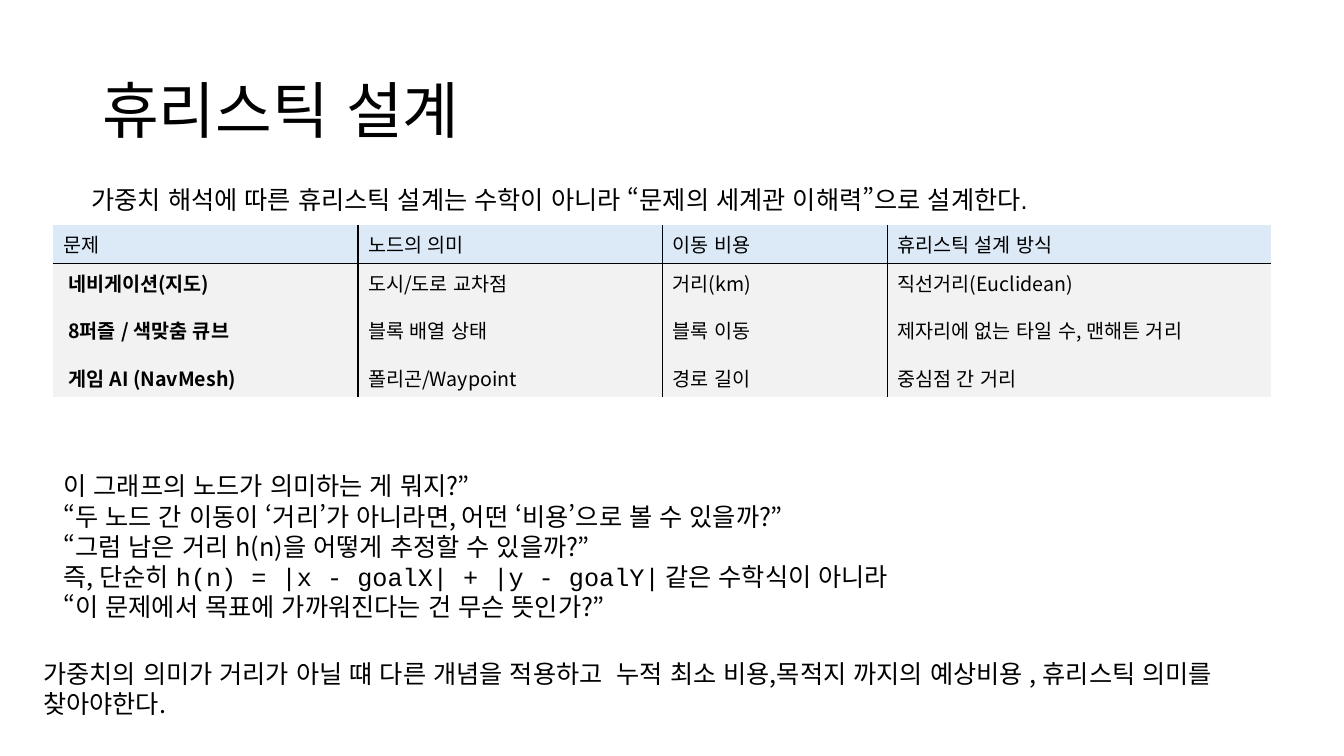
from dataclasses import dataclass

from lxml.etree import SubElement
from pptx import Presentation
from pptx.dml.color import RGBColor
from pptx.enum.lang import MSO_LANGUAGE_ID as Language
from pptx.enum.text import MSO_ANCHOR as Anchor, MSO_AUTO_SIZE as AutoSize
from pptx.oxml.ns import qn
from pptx.util import Pt


@dataclass(frozen=True)
class Theme:
    """Colours, fonts and type sizes of the slide."""
    ink: str = "000000"
    header: str = "DCEAF7"
    body: str = "F2F2F2"
    korean: str = "Noto Sans CJK KR"
    latin: str = "Arial"
    code: str = "Courier New"
    title_size: int = 44
    text_size: int = 18
    cell_size: int = 14
    rule_width: int = 1


THEME = Theme()

INTRO = "가중치 해석에 따른 휴리스틱 설계는 수학이 아니라 “문제의 세계관 이해력”으로 설계한다."
PROBLEMS = [
    ("문제", "노드의 의미", "이동 비용", "휴리스틱 설계 방식"),
    ("네비게이션(지도)", "도시/도로 교차점", "거리(km)", "직선거리(Euclidean)"),
    ("8퍼즐 / 색맞춤 큐브", "블록 배열 상태", "블록 이동", "제자리에 없는 타일 수, 맨해튼 거리"),
    ("게임 AI (NavMesh)", "폴리곤/Waypoint", "경로 길이", "중심점 간 거리"),
]
COLUMN_WIDTHS = (217.5, 217.5, 160.5, 274.3)
ROW_HEIGHTS = (27.5, 27.5, 40.3, 27.5)
QUESTIONS = [
    ["이 그래프의 노드가 의미하는 게 뭐지?”"],
    ["“두 노드 간 이동이 ‘거리’가 아니라면, 어떤 ‘비용’으로 볼 수 있을까?”"],
    ["“그럼 남은 거리 h(n)을 어떻게 추정할 수 있을까?”"],
    ["즉, 단순히 ", ("h(n) = |x - goalX| + |y - goalY|", THEME.code), " 같은 수학식이 아니라"],
    ["“이 문제에서 목표에 가까워진다는 건 무슨 뜻인가?”"],
]
CONCLUSION = ("가중치의 의미가 거리가 아닐 떄 다른 개념을 적용하고  누적 최소 비용,"
              "목적지 까지의 예상비용 , 휴리스틱 의미를 찾아야한다.")


def add_run(paragraph, words, size, font=THEME.korean, bold=False):
    """Append a run of Korean text with its format."""
    run = paragraph.add_run()
    run.text = words
    run_format = {"name": font, "size": Pt(size), "bold": bold, "language_id": Language.KOREAN}
    for name, value in run_format.items():
        setattr(run.font, name, value)
    run.font.color.rgb = RGBColor.from_string(THEME.ink)


def add_text(slide, box, paragraphs, size=THEME.text_size, font=THEME.korean,
             line_spacing=None, **frame_format):
    """Add a wrapped text box; each paragraph is a list of words or (words, font)."""
    frame = slide.shapes.add_textbox(*map(Pt, box)).text_frame
    for name, value in {"word_wrap": True, **frame_format}.items():
        setattr(frame, name, value)
    for index, parts in enumerate(paragraphs):
        paragraph = frame.add_paragraph() if index else frame.paragraphs[0]
        paragraph.line_spacing = line_spacing
        for part in parts:
            words, face = part if isinstance(part, tuple) else (part, font)
            add_run(paragraph, words, size, face)


def set_borders(cell, ruled):
    """Rule the named edges of a cell and clear the others."""
    properties = cell._tc.get_or_add_tcPr()
    for position, edge in enumerate("LRTB"):
        line = properties.makeelement(qn(f"a:ln{edge}"), {"w": str(Pt(THEME.rule_width))})
        properties.insert(position, line)
        if edge in ruled:
            fill = SubElement(line, qn("a:solidFill"))
            SubElement(fill, qn("a:srgbClr"), val=THEME.ink)
        else:
            SubElement(line, qn("a:noFill"))


def add_problem_table(slide, left, top):
    """Add the table of problems with inner column rules and a ruled header."""
    table = slide.shapes.add_table(
        len(PROBLEMS), len(COLUMN_WIDTHS), Pt(left), Pt(top),
        Pt(sum(COLUMN_WIDTHS)), Pt(sum(ROW_HEIGHTS))).table
    table.first_row = table.horz_banding = False
    for column, width in zip(table.columns, COLUMN_WIDTHS):
        column.width = Pt(width)
    for row, height in zip(table.rows, ROW_HEIGHTS):
        row.height = Pt(height)
    last = len(COLUMN_WIDTHS) - 1
    for r, entries in enumerate(PROBLEMS):
        for c, words in enumerate(entries):
            cell = table.cell(r, c)
            is_problem = r > 0 and c == 0
            cell.vertical_anchor = Anchor.MIDDLE
            cell.margin_left = Pt(10.4 if is_problem else 7.2)
            cell.fill.solid()
            cell.fill.fore_color.rgb = RGBColor.from_string(THEME.body if r else THEME.header)
            add_run(cell.text_frame.paragraphs[0], words, THEME.cell_size, bold=is_problem)
            edges = {"L": c > 0, "R": c < last, "T": r == 1, "B": r == 0}
            set_borders(cell, [edge for edge, shown in edges.items() if shown])


def main():
    """Build the heuristic design slide."""
    deck = Presentation()
    deck.slide_width, deck.slide_height = Pt(960), Pt(540)
    slide = deck.slides.add_slide(deck.slide_layouts[6])
    grow = AutoSize.SHAPE_TO_FIT_TEXT
    add_text(slide, (66, 28.75, 828, 104.4), [["휴리스틱 설계"]], THEME.title_size,
             line_spacing=0.9, vertical_anchor=Anchor.MIDDLE)
    add_problem_table(slide, 38.2, 160.7)
    add_text(slide, (58.3, 128.2, 733, 29), [[INTRO]], font=THEME.latin,
             vertical_anchor=Anchor.MIDDLE, auto_size=grow)
    add_text(slide, (38.2, 332.6, 946.8, 116.6), QUESTIONS, auto_size=grow)
    add_text(slide, (23.8, 466.6, 897.8, 51), [[CONCLUSION]], auto_size=grow)
    deck.save("out.pptx")


if __name__ == "__main__":
    main()
